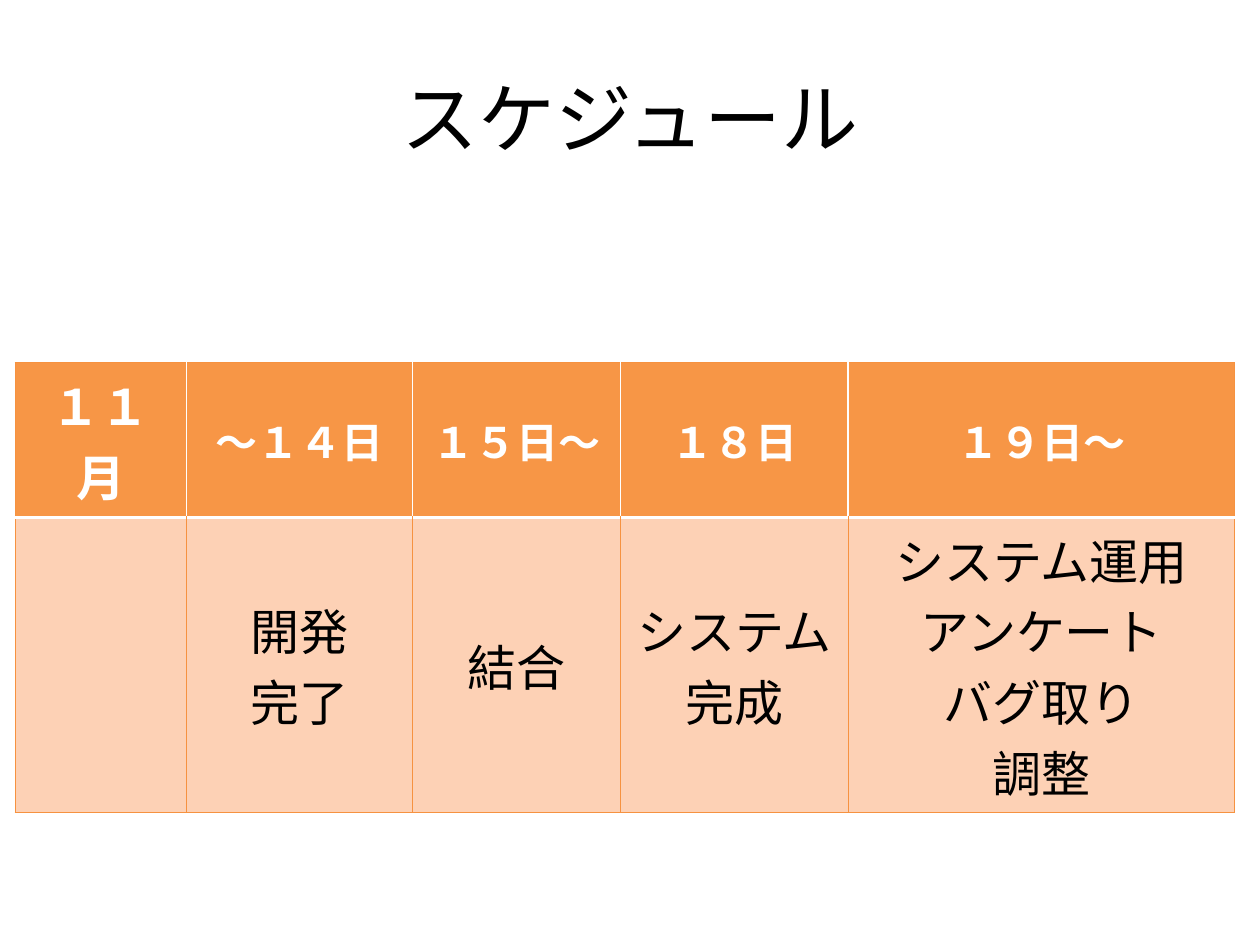
from pptx import Presentation
from pptx.dml.color import RGBColor
from pptx.enum.text import MSO_ANCHOR, PP_ALIGN
from pptx.oxml import parse_xml
from pptx.oxml.ns import nsdecls
from pptx.util import Pt

TITLE = "スケジュール"
HEADER = ["１１月", "～１４日", "１５日～", "１８日", "１９日～"]
TASKS = ["", "開発\n完了", "結合", "システム完成", "システム運用\nアンケート\nバグ取り\n調整"]
COL_WIDTHS = [98, 129, 119, 130, 221]
ROW_HEIGHTS = [51, 113]
LEFT, TOP = 8.64, 207.36

FONT = "Calibri"
BLACK = RGBColor(0x00, 0x00, 0x00)
WHITE = RGBColor(0xFF, 0xFF, 0xFF)
ORANGE = RGBColor(0xF7, 0x96, 0x46)
PEACH = RGBColor(0xFD, 0xD1, 0xB5)
EDGE = RGBColor(0xF6, 0x92, 0x40)
OUTER, DIVIDER, RULE = (EDGE, 0.75), (WHITE, 1), (WHITE, 2)


def set_borders(cell, **sides):
    tc_pr = cell._tc.get_or_add_tcPr()
    for i, side in enumerate("LRTB"):
        color, width = sides[side]
        tc_pr.insert(i, parse_xml(
            f'<a:ln{side} {nsdecls("a")} w="{Pt(width)}"><a:solidFill>'
            f'<a:srgbClr val="{color}"/></a:solidFill></a:ln{side}>'))


def format_text(tf, size, color, bold=False):
    for p in tf.paragraphs:
        p.alignment = PP_ALIGN.CENTER
        for r in p.runs:
            r.font.name = FONT
            r.font.size = Pt(size)
            r.font.bold = bold
            r.font.color.rgb = color


prs = Presentation()
prs.slide_width, prs.slide_height = Pt(720), Pt(540)
s = prs.slides.add_slide(prs.slide_layouts[5])

title = s.shapes.title
title.left, title.top, title.width, title.height = Pt(36), Pt(21.6), Pt(648), Pt(90)
title.text_frame.text = TITLE
title.text_frame.vertical_anchor = MSO_ANCHOR.MIDDLE
format_text(title.text_frame, 44, BLACK)

table = s.shapes.add_table(2, len(HEADER), Pt(LEFT), Pt(TOP),
                           Pt(sum(COL_WIDTHS)), Pt(sum(ROW_HEIGHTS))).table
for col, width in zip(table.columns, COL_WIDTHS):
    col.width = Pt(width)
for row, height in zip(table.rows, ROW_HEIGHTS):
    row.height = Pt(height)

last = len(HEADER) - 1
for i, texts in enumerate([HEADER, TASKS]):
    is_header = i == 0
    inner = DIVIDER if is_header else OUTER
    for j, text in enumerate(texts):
        cell = table.cell(i, j)
        cell.text_frame.text = text
        cell.vertical_anchor = MSO_ANCHOR.MIDDLE
        cell.fill.solid()
        cell.fill.fore_color.rgb = ORANGE if is_header else PEACH
        format_text(cell.text_frame, 24 if is_header and j else 28,
                    WHITE if is_header else BLACK, is_header)
        set_borders(cell, L=inner if j else OUTER, R=inner if j < last else OUTER,
                    T=OUTER if is_header else RULE, B=RULE if is_header else OUTER)

prs.save("out.pptx")
